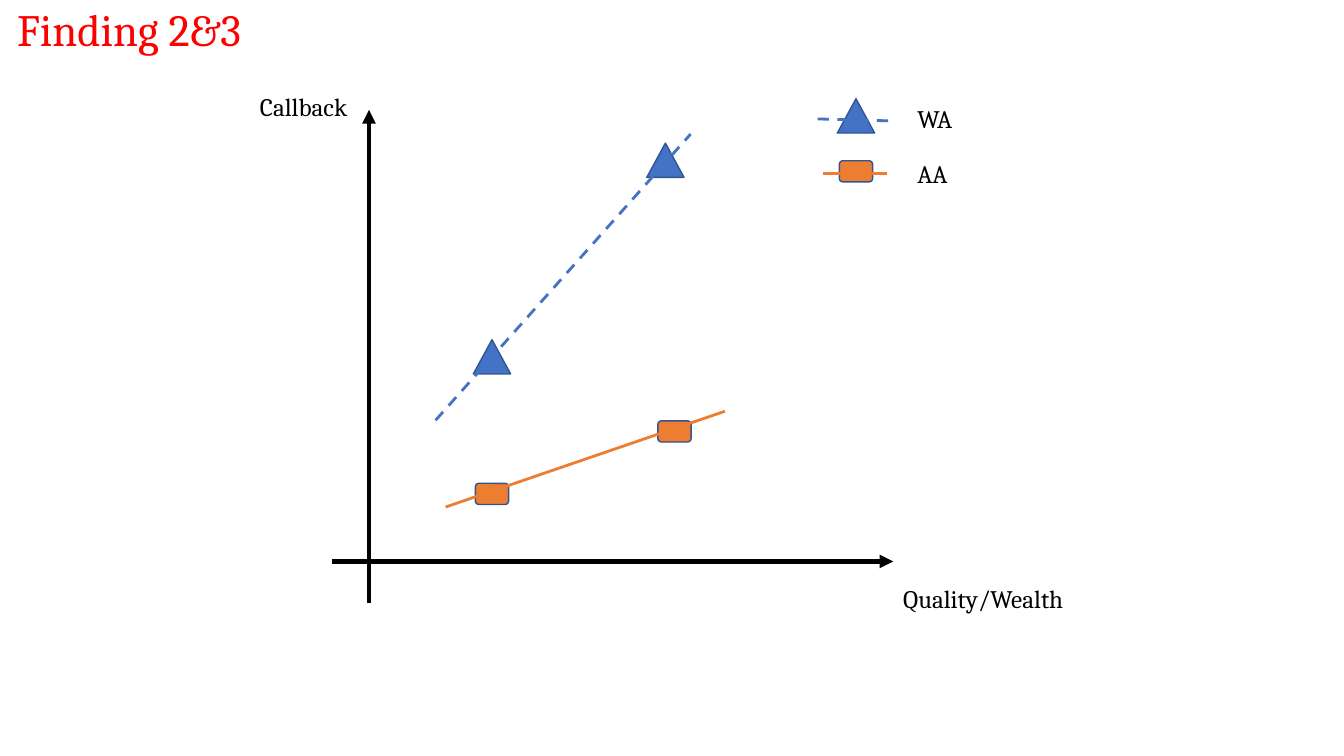
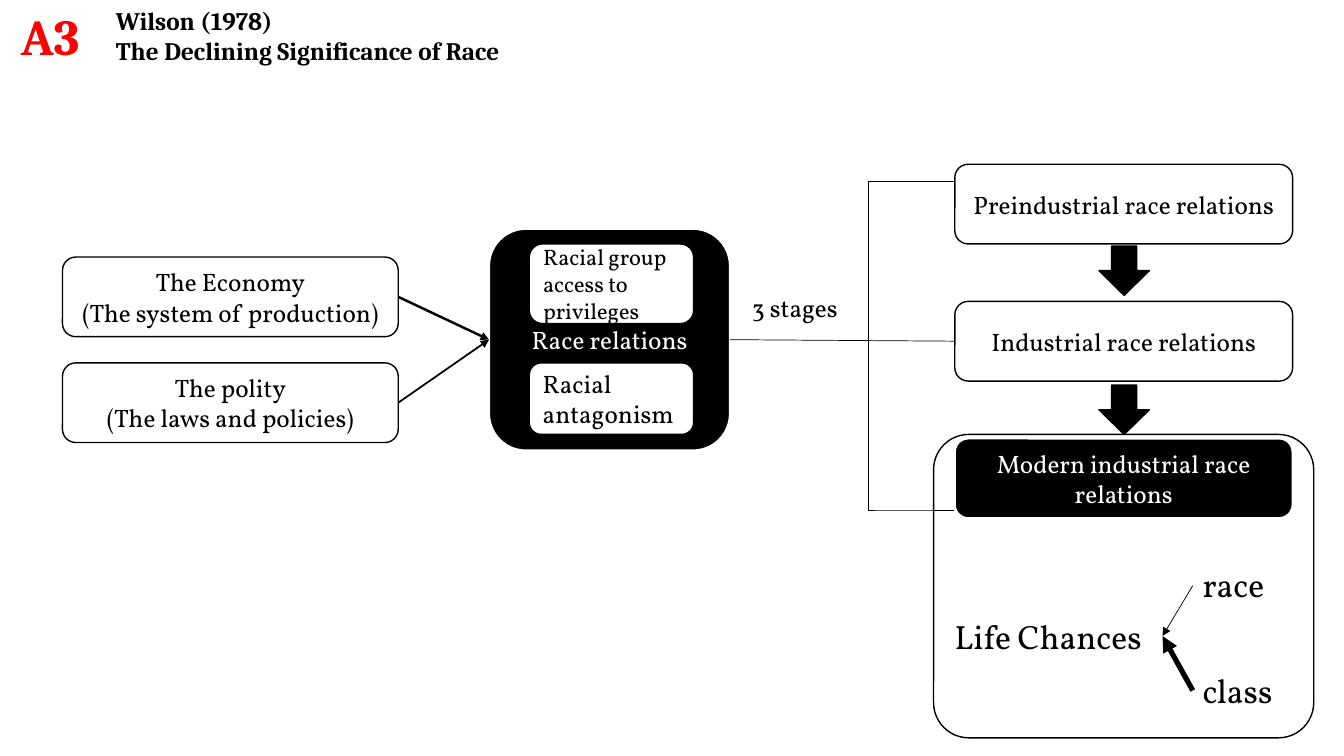
from pptx import Presentation, util as u
from pptx.dml.color import RGBColor
from pptx.enum import dml, shapes as s, text as t
from pptx.oxml.ns import qn
from lxml import etree

BLACK = RGBColor(0, 0, 0)
WHITE = RGBColor(255, 255, 255)
RED = RGBColor(255, 0, 0)
BLUE = RGBColor(0x44, 0x72, 0xC4)
ORANGE = RGBColor(0xED, 0x7D, 0x31)
EDGE = RGBColor(0x32, 0x54, 0x91)
HEAD, BODY = "Cambria", "Vollkorn"
WIDE, HIGH = 13.33, 7.5
ROUND = s.MSO_SHAPE.ROUNDED_RECTANGLE
TRI = s.MSO_SHAPE.ISOSCELES_TRIANGLE
DOWN = s.MSO_SHAPE.DOWN_ARROW

AXES = [((3.29, 5.57), (8.86, 5.57)), ((3.66, 5.98), (3.66, 1.09))]
NAMES = [("Quality/Wealth", (8.86, 5.74, 2.25, 0.4)),
         ("Callback", (2.48, 0.86, 1.28, 0.4))]
SERIES = [
    dict(name="WA", kind=TRI, size=(0.37, 0.34), color=BLUE, dash=True,
         marks=[(4.88, 3.54), (6.6, 1.59), (8.49, 1.15)],
         lines=[((4.32, 4.17), (6.85, 1.33)), ((8.11, 1.18), (8.86, 1.2))],
         key=0.98),
    dict(name="AA", kind=ROUND, size=(0.33, 0.21), color=ORANGE, dash=False,
         marks=[(4.88, 4.9), (6.69, 4.28), (8.49, 1.7)],
         lines=[((4.42, 5.03), (7.19, 4.08)), ((8.16, 1.72), (8.8, 1.72))],
         key=1.52),
]

CAUSES = [(["The Economy", "(The system of production)"], 1.75),
          (["The polity", "(The laws and policies)"], 1.25)]
STAGES = ["Preindustrial race relations", "Industrial race relations",
          "Modern industrial race relations"]
PARTS = [("Racial group access to privileges", 2.42, 0.79, 16),
         ("Racial antagonism", 3.6, 0.71, 18)]
FORCES = [("race", 5.55, 5.81, 0.5), ("class", 6.6, 6.85, 3.75)]
CHANCE = (11.53, 6.31)


def inch(nums):
    return [u.Inches(n) for n in nums]


def write(frame, lines, size, color, font, bold=False, align=t.PP_ALIGN.LEFT):
    frame.word_wrap = True
    for i, line in enumerate(lines):
        para = frame.paragraphs[0] if i == 0 else frame.add_paragraph()
        para.alignment = align
        para.line_spacing = 1.0
        para.space_before = u.Pt(0)
        run = para.add_run()
        run.text = line
        run.font.size = u.Pt(size)
        run.font.name = font
        run.font.bold = bold
        run.font.color.rgb = color


def title(slide, lines, at, size, color, bold=False):
    head = slide.shapes.title
    head.left, head.top, head.width, head.height = inch(at)
    frame = head.text_frame
    frame.vertical_anchor = t.MSO_ANCHOR.TOP
    frame.auto_size = t.MSO_AUTO_SIZE.NONE
    write(frame, lines, size, color, HEAD, bold)


def label(slide, text, at, size=18, font=BODY, color=BLACK, bold=False):
    box = slide.shapes.add_textbox(*inch(at))
    write(box.text_frame, [text], size, color, font, bold)
    box.text_frame.auto_size = t.MSO_AUTO_SIZE.SHAPE_TO_FIT_TEXT


def shape(slide, kind, at, fill=WHITE, edge=BLACK, width=1, adj=None):
    item = slide.shapes.add_shape(kind, *inch(at))
    item.shadow.inherit = False
    if fill is None:
        item.fill.background()
    else:
        item.fill.solid()
        item.fill.fore_color.rgb = fill
    item.line.color.rgb = edge
    item.line.width = u.Pt(width)
    if adj is not None:
        item.adjustments[0] = adj
    return item


def card(slide, lines, at, dark=False, size=18, align=t.PP_ALIGN.CENTER):
    fill, ink, width = (BLACK, WHITE, 1.5) if dark else (WHITE, BLACK, 1)
    item = shape(slide, ROUND, at, fill, ink, width)
    item.text_frame.vertical_anchor = t.MSO_ANCHOR.MIDDLE
    write(item.text_frame, lines, size, ink, BODY, align=align)
    return item


def line(slide, start=(0, 0), end=(0, 0), color=BLACK, width=0.5,
         arrow=False, dash=False, join=None):
    link = slide.shapes.add_connector(s.MSO_CONNECTOR.STRAIGHT,
                                      *inch(start + end))
    if join:
        link.begin_connect(join[0], 3)
        link.end_connect(join[1], 1)
    link.line.color.rgb = color
    link.line.width = u.Pt(width)
    if dash:
        link.line.dash_style = dml.MSO_LINE.DASH
    if arrow:
        etree.SubElement(link.line._get_or_add_ln(), qn("a:tailEnd"),
                         type="triangle")
    etree.SubElement(link._element.spPr, qn("a:effectLst"))


def finding(slide):
    title(slide, ["Finding 2&3"], (0.07, -0.03, 3.26, 0.64), 32, RED)
    for start, end in AXES:
        line(slide, start, end, width=3.25, arrow=True)
    for name, at in NAMES:
        label(slide, name, at, font=HEAD)
    for row in SERIES:
        wide, high = row["size"]
        for x, y in row["marks"]:
            at = (x - wide / 2, y - high / 2, wide, high)
            shape(slide, row["kind"], at, row["color"], EDGE)
        for start, end in row["lines"]:
            line(slide, start, end, row["color"], 2, dash=row["dash"])
        label(slide, row["name"], (9, row["key"], 1, 0.4), font=HEAD)


def wilson(slide):
    title(slide, ["Wilson (1978)", "The Declining Significance of Race"],
          (1.05, 0, 7.6, 0.71), 18, BLACK, True)
    label(slide, "A3", (0.11, 0, 0.94, 0.71), 36, HEAD, RED, True)
    shape(slide, ROUND, (9.26, 4.31, 3.77, 3.01), adj=0.116)
    hub = card(slide, ["Race relations"], (4.85, 2.27, 2.39, 2.2), True)
    for text, top, high, size in PARTS:
        card(slide, [text], (5.25, top, 1.63, high), size=size,
             align=t.PP_ALIGN.LEFT)
    for i, (lines, width) in enumerate(CAUSES):
        cause = card(slide, lines, (0.62, 2.55 + 1.05 * i, 3.33, 0.79))
        line(slide, width=width, arrow=True, join=(cause, hub))
    last = len(STAGES) - 1
    stages = [card(slide, [text], (9.47, 1.63 + 1.36 * i, 3.35, 0.79),
                   i == last) for i, text in enumerate(STAGES)]
    for i in range(last):
        shape(slide, DOWN, (10.9, 2.44 + 1.38 * i, 0.5, 0.49), BLACK)
    shape(slide, s.MSO_SHAPE.LEFT_BRACKET, (8.61, 1.8, 0.85, 3.26),
          None, width=0.5, adj=0)
    line(slide, join=(hub, stages[1]))
    label(slide, "3 stages", (7.36, 2.85, 1.23, 0.4))
    label(slide, "Life Chances", (9.37, 6.06, 2.16, 0.5), 24)
    for text, top, y, width in FORCES:
        label(slide, text, (11.83, top, 1.5, 0.5), 24)
        line(slide, (11.83, y), CHANCE, width=width, arrow=True)


def main():
    deck = Presentation()
    deck.slide_width, deck.slide_height = inch((WIDE, HIGH))
    for build in (finding, wilson):
        build(deck.slides.add_slide(deck.slide_layouts[5]))
    deck.save("out.pptx")


if __name__ == "__main__":
    main()
